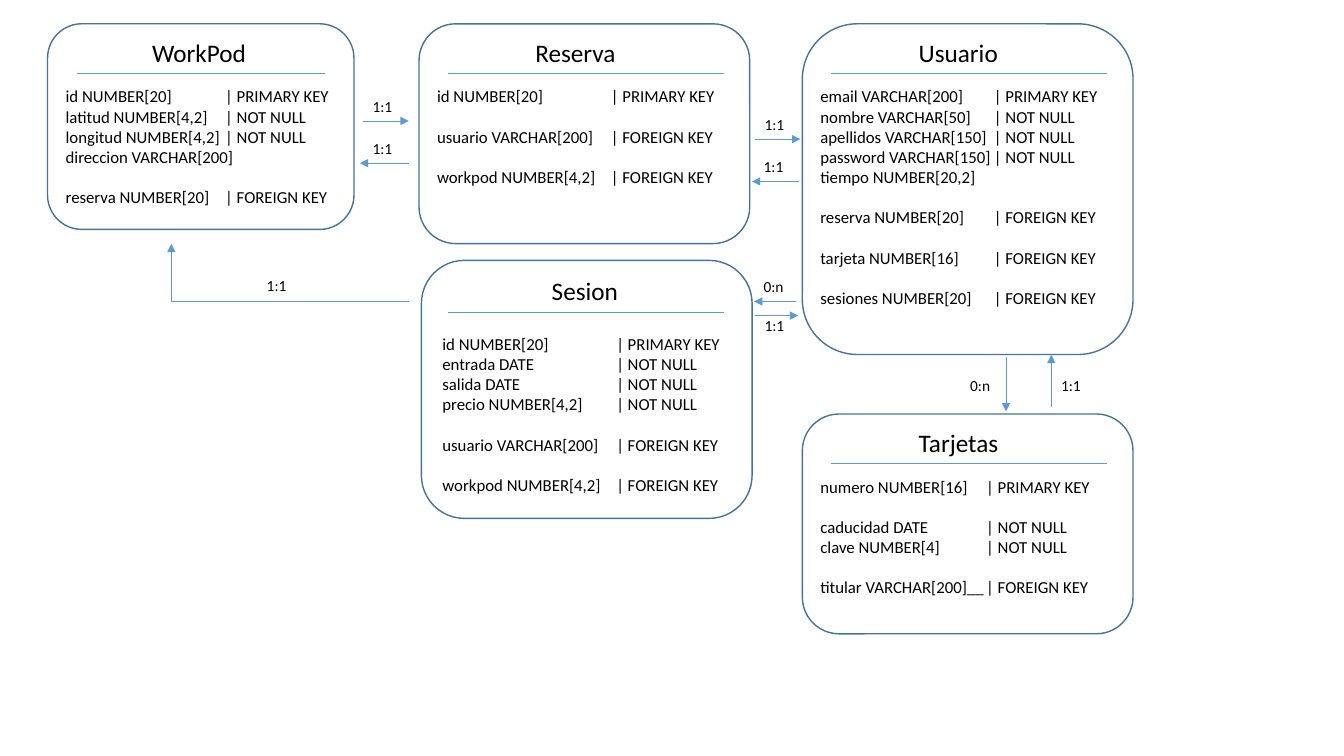
from dataclasses import dataclass

from lxml.etree import SubElement
from pptx import Presentation
from pptx.dml.color import RGBColor
from pptx.enum.shapes import MSO_CONNECTOR, MSO_SHAPE
from pptx.enum.text import PP_ALIGN
from pptx.oxml.ns import qn
from pptx.util import Pt


@dataclass(frozen=True)
class Theme:
    font: str = "Calibri"
    text: RGBColor = RGBColor(0, 0, 0)
    surface: RGBColor = RGBColor(255, 255, 255)
    border: RGBColor = RGBColor(0x43, 0x73, 0x9E)
    arrow: RGBColor = RGBColor(0x5B, 0x9B, 0xD5)
    title_size: float = 18
    body_size: float = 12
    label_size: float = 11
    group_gap: float = 14.4


THEME = Theme()


@dataclass(frozen=True)
class Entity:
    name: str
    box: tuple
    groups: list
    tab: float = 124.2
    title: tuple = (76, 5.8)
    rule: tuple = (20.5, 35.3, 197.3)
    body: tuple = (5.8, 41)


PRIMARY, REQUIRED, FOREIGN = "| PRIMARY KEY", "| NOT NULL", "| FOREIGN KEY"

ENTITIES = [
    Entity("WorkPod", (34, 17, 218.9, 146.9), [
        [("id NUMBER[20]", PRIMARY),
         ("latitud NUMBER[4,2]", REQUIRED),
         ("longitud NUMBER[4,2]", REQUIRED),
         ("direccion VARCHAR[200]", "")],
        [("reserva NUMBER[20]", FOREIGN)],
    ], tab=114, title=(67.5, 5.8), rule=(20.9, 35.3, 177.1)),
    Entity("Reserva", (299.3, 17, 236.2, 157), [
        [("id NUMBER[20]", PRIMARY)],
        [("usuario VARCHAR[200]", FOREIGN)],
        [("workpod NUMBER[4,2]", FOREIGN)],
    ]),
    Entity("Usuario", (573.1, 17, 236.2, 236.2), [
        [("email VARCHAR[200]", PRIMARY),
         ("nombre VARCHAR[50]", REQUIRED),
         ("apellidos VARCHAR[150]", REQUIRED),
         ("password VARCHAR[150]", REQUIRED),
         ("tiempo NUMBER[20,2]", "")],
        [("reserva NUMBER[20]", FOREIGN)],
        [("tarjeta NUMBER[16]", FOREIGN)],
        [("sesiones NUMBER[20]", FOREIGN)],
    ], tab=124),
    Entity("Tarjetas", (573.1, 295.7, 236.2, 157), [
        [("numero NUMBER[16]", PRIMARY)],
        [("caducidad DATE", REQUIRED), ("clave NUMBER[4]", REQUIRED)],
        [("titular VARCHAR[200]__", FOREIGN)],
    ], tab=118.5),
    Entity("Sesion", (301, 186, 236.2, 184.3), [
        [("id NUMBER[20]", PRIMARY),
         ("entrada DATE", REQUIRED),
         ("salida DATE", REQUIRED),
         ("precio NUMBER[4,2]", REQUIRED)],
        [("usuario VARCHAR[200]", FOREIGN)],
        [("workpod NUMBER[4,2]", FOREIGN)],
    ], title=(86, 7), rule=(19, 37.2, 197.3), body=(7.9, 48.8)),
]

RELATIONS = [
    ("1:1", (259.2, 86.4), (292, 86.4), (258.2, 65.5)),
    ("1:1", (292, 116.6), (257, 116.6), (258.2, 95.8)),
    ("1:1", (539, 99.4), (571.7, 99.4), (538.2, 78.5)),
    ("1:1", (571, 129.6), (537.1, 129.6), (537.6, 108.7)),
    ("0:n", (568.8, 215.3), (538.6, 215.3), (537.6, 194.4)),
    ("1:1", (539, 225.4), (570.2, 225.4), (538.2, 222.5)),
    ("0:n", (718.6, 254.9), (718.6, 293.8), (685.2, 265)),
    ("1:1", (751, 290.9), (751, 253.4), (750, 265)),
    ("1:1", (292, 215.3), (122.4, 174.2), (182.6, 193.7)),
]


def add_span(para, text, size):
    span = para.add_run()
    span.text = text
    span.font.name = THEME.font
    span.font.size = Pt(size)
    span.font.color.rgb = THEME.text


def add_frame(page, left, top, width, height):
    frame = page.shapes.add_textbox(Pt(left), Pt(top), Pt(width), Pt(height)).text_frame
    frame.word_wrap = True
    return frame


def add_line(page, start, end, kind=MSO_CONNECTOR.STRAIGHT):
    line = page.shapes.add_connector(kind, *(Pt(value) for value in start + end))
    line.line.color.rgb = THEME.arrow
    line.line.width = Pt(0.5)
    SubElement(line._element.spPr, qn("a:effectLst"))
    return line


def add_tab_stop(para, position):
    stops = SubElement(para._p.get_or_add_pPr(), qn("a:tabLst"))
    SubElement(stops, qn("a:tab"), pos=str(Pt(position)), algn="l")


def add_columns(page, entity):
    left, top, width, height = entity.box
    dx, dy = entity.body
    frame = add_frame(page, left + dx, top + dy, width - 12, height - dy)
    para = frame.paragraphs[0]
    for group_index, group in enumerate(entity.groups):
        for row_index, (column, constraint) in enumerate(group):
            if group_index or row_index:
                para = frame.add_paragraph()
            if group_index and not row_index:
                para.space_before = Pt(THEME.group_gap)
            add_span(para, column, THEME.body_size)
            if constraint:
                add_tab_stop(para, entity.tab)
                add_span(para, "\t" + constraint, THEME.body_size)


def add_entity(page, entity):
    left, top, width, height = entity.box
    card = page.shapes.add_shape(
        MSO_SHAPE.ROUNDED_RECTANGLE, Pt(left), Pt(top), Pt(width), Pt(height))
    card.shadow.inherit = False
    card.fill.solid()
    card.fill.fore_color.rgb = THEME.surface
    card.line.color.rgb = THEME.border
    card.line.width = Pt(1)

    rule_x, rule_y, rule_width = entity.rule
    add_line(page, (left + rule_x, top + rule_y),
             (left + rule_x + rule_width, top + rule_y))
    title_x, title_y = entity.title
    title = add_frame(page, left + title_x, top + title_y, 84, 29)
    add_span(title.paragraphs[0], entity.name, THEME.title_size)
    add_columns(page, entity)


def add_relation(page, cardinality, start, end, label_at):
    bent = start[0] != end[0] and start[1] != end[1]
    arrow = add_line(page, start, end, MSO_CONNECTOR.ELBOW if bent else MSO_CONNECTOR.STRAIGHT)
    SubElement(arrow.line._get_or_add_ln(), qn("a:tailEnd"), type="triangle")
    if bent:
        guides = arrow._element.spPr.find(qn("a:prstGeom")).find(qn("a:avLst"))
        SubElement(guides, qn("a:gd"), name="adj1", fmla="val 100000")
    label = add_frame(page, *label_at, 30, 21)
    label.margin_left = label.margin_right = 0
    label.paragraphs[0].alignment = PP_ALIGN.CENTER
    add_span(label.paragraphs[0], cardinality, THEME.label_size)


def main():
    deck = Presentation()
    deck.slide_width, deck.slide_height = Pt(960), Pt(540)
    page = deck.slides.add_slide(deck.slide_layouts[6])
    for entity in ENTITIES:
        add_entity(page, entity)
    for relation in RELATIONS:
        add_relation(page, *relation)
    deck.save("out.pptx")


if __name__ == "__main__":
    main()
